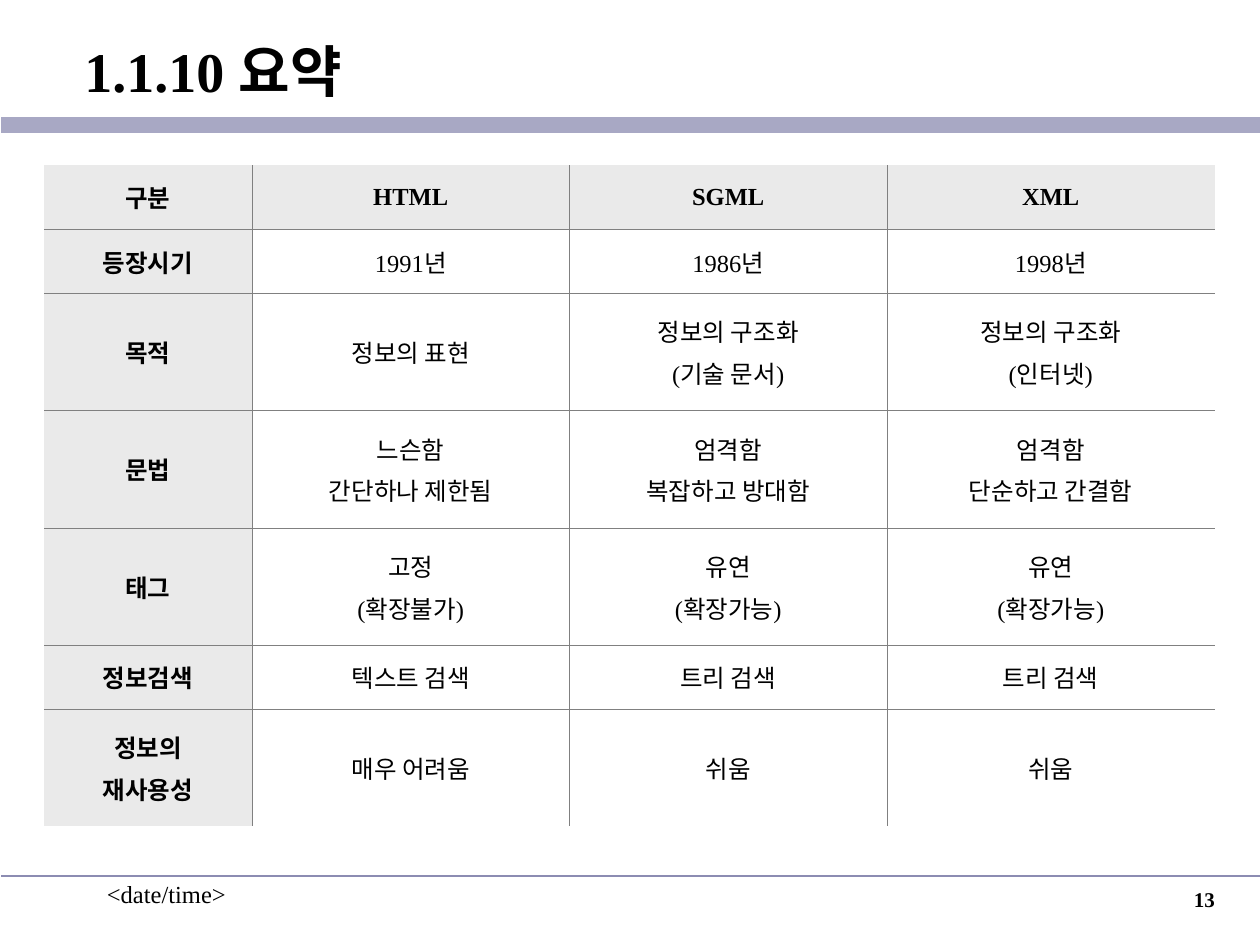
"""Build the summary slide that compares HTML, SGML and XML."""
from dataclasses import dataclass

from lxml import etree
from pptx import Presentation
from pptx import util as u
from pptx.dml.color import RGBColor
from pptx.enum import shapes, text
from pptx.oxml import ns


@dataclass(frozen=True)
class Theme:
    font: str = "Times New Roman"
    ink: str = "000000"
    band: str = "A8A8C4"
    rule: str = "8C8CB2"
    grid: str = "808080"
    header: str = "EAEAEA"
    title_size: float = 32
    body_size: float = 14
    number_size: float = 12
    grid_width: float = 0.45


HEADINGS = ["구분", "HTML", "SGML", "XML"]
ROWS = [
    ["등장시기", "1991년", "1986년", "1998년"],
    ["목적", "정보의 표현", "정보의 구조화\n(기술 문서)", "정보의 구조화\n(인터넷)"],
    ["문법", "느슨함\n간단하나 제한됨", "엄격함\n복잡하고 방대함", "엄격함\n단순하고 간결함"],
    ["태그", "고정\n(확장불가)", "유연\n(확장가능)", "유연\n(확장가능)"],
    ["정보검색", "텍스트 검색", "트리 검색", "트리 검색"],
    ["정보의\n재사용성", "매우 어려움", "쉬움", "쉬움"],
]
COLUMN_WIDTHS = [1.65, 2.52, 2.52, 2.6]
ROW_HEIGHTS = {1: 0.51, 2: 0.93}


def set_all(target, values):
    for name, value in values.items():
        setattr(target, name, value)


class SlideBuilder:
    def __init__(self, slide, theme):
        self.slide = slide
        self.theme = theme

    def fill_text(self, frame, content, size, bold=False, align=text.PP_ALIGN.LEFT, before=0):
        frame.text = content
        for paragraph in frame.paragraphs:
            set_all(paragraph, {"alignment": align, "space_before": u.Pt(before)})
            for run in paragraph.runs:
                set_all(run.font, {"name": self.theme.font, "size": u.Pt(size), "bold": bold})
                run.font.color.rgb = RGBColor.from_string(self.theme.ink)

    def title(self, content, left, top, width, height, indent):
        shape = self.slide.shapes.title
        box = {"left": left, "top": top, "width": width, "height": height}
        set_all(shape, {name: u.Inches(value) for name, value in box.items()})
        set_all(shape.text_frame, {
            "margin_left": u.Inches(indent),
            "vertical_anchor": text.MSO_ANCHOR.MIDDLE,
            "auto_size": text.MSO_AUTO_SIZE.NONE,
            "word_wrap": True,
        })
        self.fill_text(shape.text_frame, content, self.theme.title_size, bold=True)

    def label(self, content, left, top, width, height, size, **style):
        shape = self.slide.shapes.add_textbox(*map(u.Inches, (left, top, width, height)))
        shape.text_frame.word_wrap = True
        self.fill_text(shape.text_frame, content, size, **style)

    def rule(self, y, color, width):
        line = self.slide.shapes.add_connector(
            shapes.MSO_CONNECTOR.STRAIGHT, *map(u.Inches, (0.01, y, 10, y)))
        line.line.color.rgb = RGBColor.from_string(color)
        line.line.width = u.Pt(width)
        properties = line._element.find(ns.qn("p:spPr"))
        etree.SubElement(properties, ns.qn("a:effectLst"))

    def borders(self, cell, visible):
        properties = cell._tc.get_or_add_tcPr()
        for position, (side, shown) in enumerate(visible.items()):
            line = etree.Element(ns.qn(f"a:ln{side}"), w=str(u.Pt(self.theme.grid_width)))
            fill = etree.SubElement(line, ns.qn("a:solidFill" if shown else "a:noFill"))
            if shown:
                etree.SubElement(fill, ns.qn("a:srgbClr"), val=self.theme.grid)
            properties.insert(position, line)

    def table(self, rows, left, top, widths, heights):
        box = (left, top, sum(widths), sum(heights))
        table = self.slide.shapes.add_table(
            len(rows), len(widths), *map(u.Inches, box)).table
        set_all(table, {"first_row": False, "horz_banding": False})
        for column, width in zip(table.columns, widths):
            column.width = u.Inches(width)
        for row, height in zip(table.rows, heights):
            row.height = u.Inches(height)
        last_row, last_column = len(rows) - 1, len(widths) - 1
        for i, row in enumerate(rows):
            for j, content in enumerate(row):
                cell = table.cell(i, j)
                heading = i == 0 or j == 0
                cell.vertical_anchor = text.MSO_ANCHOR.MIDDLE
                self.fill_text(cell.text_frame, content, self.theme.body_size, bold=heading,
                               align=text.PP_ALIGN.CENTER, before=3.5)
                if heading:
                    cell.fill.solid()
                    cell.fill.fore_color.rgb = RGBColor.from_string(self.theme.header)
                else:
                    cell.fill.background()
                self.borders(cell, {"L": j > 0, "R": j < last_column,
                                    "T": i > 0, "B": i < last_row})


def main():
    theme = Theme()
    presentation = Presentation()
    set_all(presentation, {"slide_width": u.Inches(10), "slide_height": u.Inches(7.5)})
    slide = presentation.slides.add_slide(presentation.slide_layouts[5])
    builder = SlideBuilder(slide, theme)

    builder.label("<date/time>", 0.75, 6.93, 2.08, 0.5, theme.body_size)
    builder.rule(0.99, theme.band, 9.25)
    builder.rule(6.95, theme.rule, 1)
    builder.title("1.1.10 요약", 0.01, 0.11, 9.99, 0.9, indent=0.66)
    rows = [HEADINGS] + ROWS
    heights = [ROW_HEIGHTS[max(len(cell.split("\n")) for cell in row)] for row in rows]
    builder.table(rows, 0.35, 1.31, COLUMN_WIDTHS, heights)
    builder.label("13", 7.66, 6.99, 2.08, 0.5, theme.number_size,
                  bold=True, align=text.PP_ALIGN.RIGHT)
    presentation.save("out.pptx")


if __name__ == "__main__":
    main()
